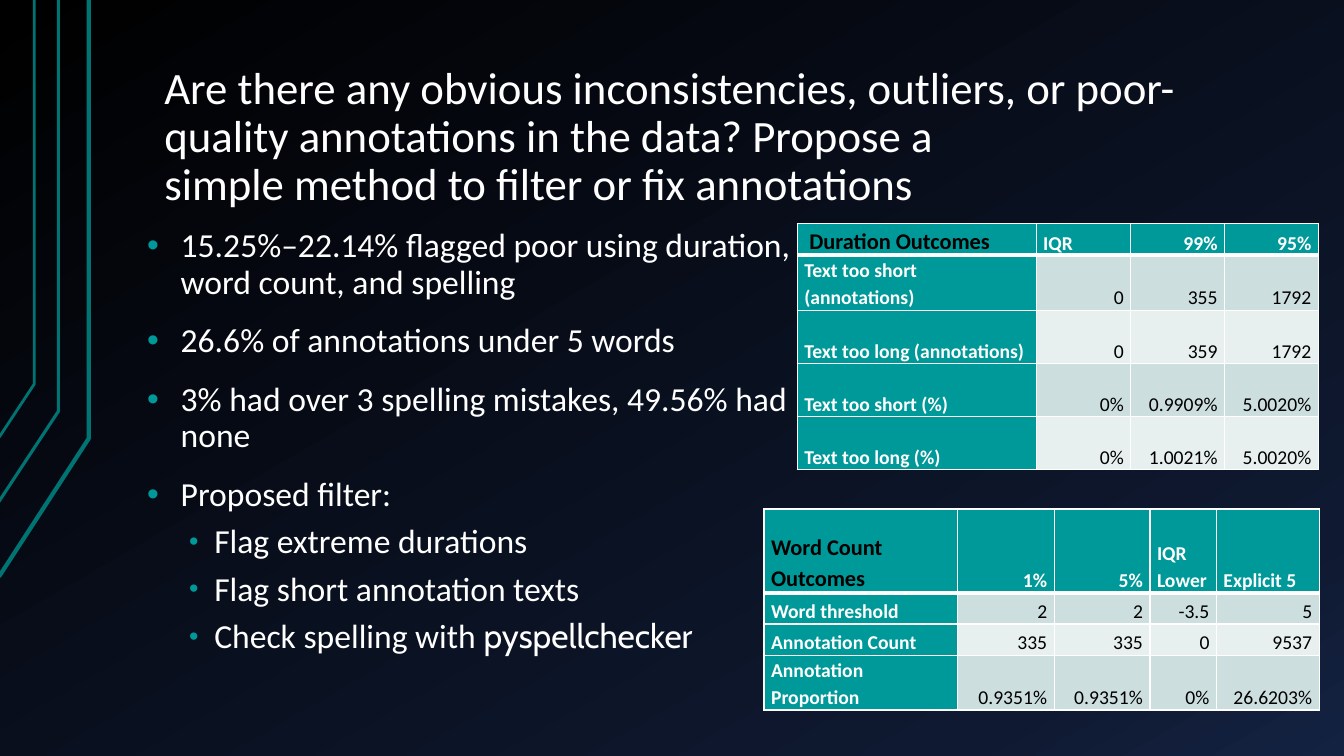
import copy
import dataclasses

import lxml.etree
import pptx
import pptx.dml.color
import pptx.enum.text
import pptx.oxml.ns
import pptx.util

Pt = pptx.util.Pt
RGB = pptx.dml.color.RGBColor
qn = pptx.oxml.ns.qn
ALIGN = pptx.enum.text.PP_ALIGN
ANCHOR = pptx.enum.text.MSO_ANCHOR

WHITE = RGB(0xFF, 0xFF, 0xFF)
BLACK = RGB(0x00, 0x00, 0x00)
NAVY = RGB(0x0F, 0x19, 0x31)
BLUE = RGB(0x14, 0x22, 0x42)
TEAL = RGB(0x00, 0x99, 0x99)
DEEP = RGB(0x00, 0x73, 0x73)
BANDS = (RGB(0xCC, 0xDE, 0xDE), RGB(0xE7, 0xEF, 0xEF))


@dataclasses.dataclass(frozen=True)
class Trace:
    """An edge line: start at lower left, bend, then straight up."""
    left: float
    low: float
    bend: float
    knee: float
    width: float


@dataclasses.dataclass(frozen=True)
class Bullet:
    text: str
    level: int = 0
    code: str = ""


@dataclasses.dataclass(frozen=True)
class Grid:
    left: float
    top: float
    cols: tuple[float, ...]
    rows: tuple[float, ...]
    cells: tuple[tuple[str, ...], ...]
    lefts: tuple[int, ...]  # columns whose heading is left-aligned


TRACES = (
    Trace(-0.72, 411.84, 63.36, 313.2, 3),
    Trace(-1.44, 359.28, 41.76, 293.76, 2.25),
    Trace(-0.72, 312.48, 24.48, 274.32, 2),
)

BULLETS = (
    Bullet("15.25%–22.14% flagged poor using duration, word count, and spelling"),
    Bullet("26.6% of annotations under 5 words"),
    Bullet("3% had over 3 spelling mistakes, 49.56% had none"),
    Bullet("Proposed filter:"),
    Bullet("Flag extreme durations", 1),
    Bullet("Flag short annotation texts", 1),
    Bullet("Check spelling with ", 1, "pyspellchecker"),
)

GRIDS = (
    Grid(569.5, 159.84, (170.6, 67.7, 67, 67), (18.7, 38, 38, 38, 38), (
        (" Duration Outcomes", "IQR", "99%", "95%"),
        ("Text too short (annotations)", "0", "355", "1792"),
        ("Text too long (annotations)", "0", "359", "1792"),
        ("Text too short (%)", "0%", "0.9909%", "5.0020%"),
        ("Text too long (%)", "0%", "1.0021%", "5.0020%"),
    ), (0, 1)),
    Grid(545.76, 363.6, (138.2, 69.1, 68.4, 47.5, 73.4), (59.8, 22.3, 22.3, 24.5), (
        ("Word Count Outcomes", "1%", "5%", "IQR Lower", "Explicit 5"),
        ("Word threshold", "2", "2", "-3.5", "5"),
        ("Annotation Count", "335", "335", "0", "9537"),
        ("Annotation Proportion", "0.9351%", "0.9351%", "0%", "26.6203%"),
    ), (0, 3, 4)),
)


def write(par, text: str, *, size: float, color: RGB = WHITE,
          bold: bool = False, font: str = "Calibri", align=ALIGN.LEFT,
          line: float = 0.9, before: float = 0, after: float = 0) -> None:
    run = par.add_run()
    run.text = text
    run.font.size = Pt(size)
    run.font.name = font
    run.font.bold = bold
    run.font.color.rgb = color
    par.alignment = align
    par.line_spacing = line
    par.space_before = Pt(before)
    par.space_after = Pt(after)


def frame(shape, anchor):
    """Set wrapping, margins and anchor; return the text frame."""
    body = shape.text_frame
    body.word_wrap = True
    body.auto_size = pptx.enum.text.MSO_AUTO_SIZE.NONE
    body.vertical_anchor = anchor
    body.margin_left = body.margin_right = Pt(9.36)
    body.margin_top = body.margin_bottom = Pt(5.04)
    return body


def place(shape, left: float, top: float, width: float, height: float) -> None:
    shape.left, shape.top = Pt(left), Pt(top)
    shape.width, shape.height = Pt(width), Pt(height)


def paint(slide) -> None:
    fill = slide.background.fill
    fill.gradient()
    fill.gradient_angle = 300
    stops = slide.element.find(".//" + qn("a:gsLst"))
    stops.append(copy.deepcopy(stops[-1]))
    marks = ((0, BLACK), (0.85, NAVY), (1, BLUE))
    for stop, (spot, color) in zip(fill.gradient_stops, marks):
        stop.position = spot
        stop.color.rgb = color


def trace(slide, item: Trace) -> None:
    pen = slide.shapes.build_freeform(Pt(item.left), Pt(item.low))
    pen.add_line_segments(
        [(Pt(item.bend), Pt(item.knee)), (Pt(item.bend), 0)], close=False)
    shape = pen.convert_to_shape()
    shape.shadow.inherit = False
    shape.fill.background()
    shape.line.color.rgb = DEEP
    shape.line.width = Pt(item.width)


def dot(par, level: int) -> None:
    """Give a paragraph its indent and teal bullet."""
    par.level = level
    props = par._p.get_or_add_pPr()
    props.set("marL", str(Pt((24, 48)[level])))
    props.set("indent", str(-Pt((24, 18)[level])))
    tint = lxml.etree.SubElement(props, qn("a:buClr"))
    lxml.etree.SubElement(tint, qn("a:srgbClr"), val=str(TEAL))
    lxml.etree.SubElement(props, qn("a:buSzPct"), val=("100000", "80000")[level])
    lxml.etree.SubElement(props, qn("a:buFont"), typeface="Arial")
    lxml.etree.SubElement(props, qn("a:buChar"), char="•")


def edge(cell, row: int) -> None:
    """Draw white borders, thick beneath the heading row."""
    props = cell._tc.get_or_add_tcPr()
    widths = {"L": 1, "R": 1, "T": 3 if row == 1 else 1, "B": 3 if row == 0 else 1}
    for side, width in widths.items():
        line = lxml.etree.SubElement(props, qn("a:ln" + side), w=str(Pt(width)))
        solid = lxml.etree.SubElement(line, qn("a:solidFill"))
        lxml.etree.SubElement(solid, qn("a:srgbClr"), val=str(WHITE))


def draw(slide, grid: Grid) -> None:
    shape = slide.shapes.add_table(
        len(grid.rows), len(grid.cols), Pt(grid.left), Pt(grid.top),
        Pt(sum(grid.cols)), Pt(sum(grid.rows)))
    table = shape.table
    table.first_row = table.horz_banding = False
    for col, width in zip(table.columns, grid.cols):
        col.width = Pt(width)
    for row, height in zip(table.rows, grid.rows):
        row.height = Pt(height)
    for r, texts in enumerate(grid.cells):
        for c, text in enumerate(texts):
            cell = table.cell(r, c)
            edge(cell, r)
            head = r == 0 or c == 0
            name = r == 0 and c == 0
            flush = c == 0 or (r == 0 and c in grid.lefts)
            cell.fill.solid()
            cell.fill.fore_color.rgb = TEAL if head else BANDS[(r - 1) % 2]
            cell.vertical_anchor = ANCHOR.BOTTOM
            cell.margin_left = cell.margin_right = Pt(5.04)
            cell.margin_top = cell.margin_bottom = 0
            write(cell.text_frame.paragraphs[0], text, size=16 if name else 14,
                  color=WHITE if head and not name else BLACK, bold=head,
                  align=ALIGN.LEFT if flush else ALIGN.RIGHT, line=1.15, after=8)


def main() -> None:
    deck = pptx.Presentation()
    deck.slide_width, deck.slide_height = Pt(960), Pt(540)
    slide = deck.slides.add_slide(deck.slide_layouts[5])

    # Background and edge lines
    paint(slide)
    for item in TRACES:
        trace(slide, item)

    # Bullets
    box = slide.shapes.add_textbox(Pt(95.76), Pt(158.4), Pt(491.76), Pt(282.24))
    body = frame(box, ANCHOR.TOP)
    for i, item in enumerate(BULLETS):
        par = body.add_paragraph() if i else body.paragraphs[0]
        gap = (16, 8)[item.level]
        write(par, item.text, size=24, before=gap)
        if item.code:
            write(par, item.code, size=24, font="Cabin", before=gap)
        dot(par, item.level)

    # Title
    title = slide.shapes.title
    place(title, 108, 99.36, 815.76, 56.16)
    body = frame(title, ANCHOR.BOTTOM)
    write(body.paragraphs[0], "Are there any obvious inconsistencies, outliers, or "
          "poor-quality annotations in the data? Propose a", size=32)
    write(body.add_paragraph(), "simple method to filter or fix annotations", size=32)

    # Tables
    for grid in GRIDS:
        draw(slide, grid)

    deck.save("out.pptx")


if __name__ == "__main__":
    main()
